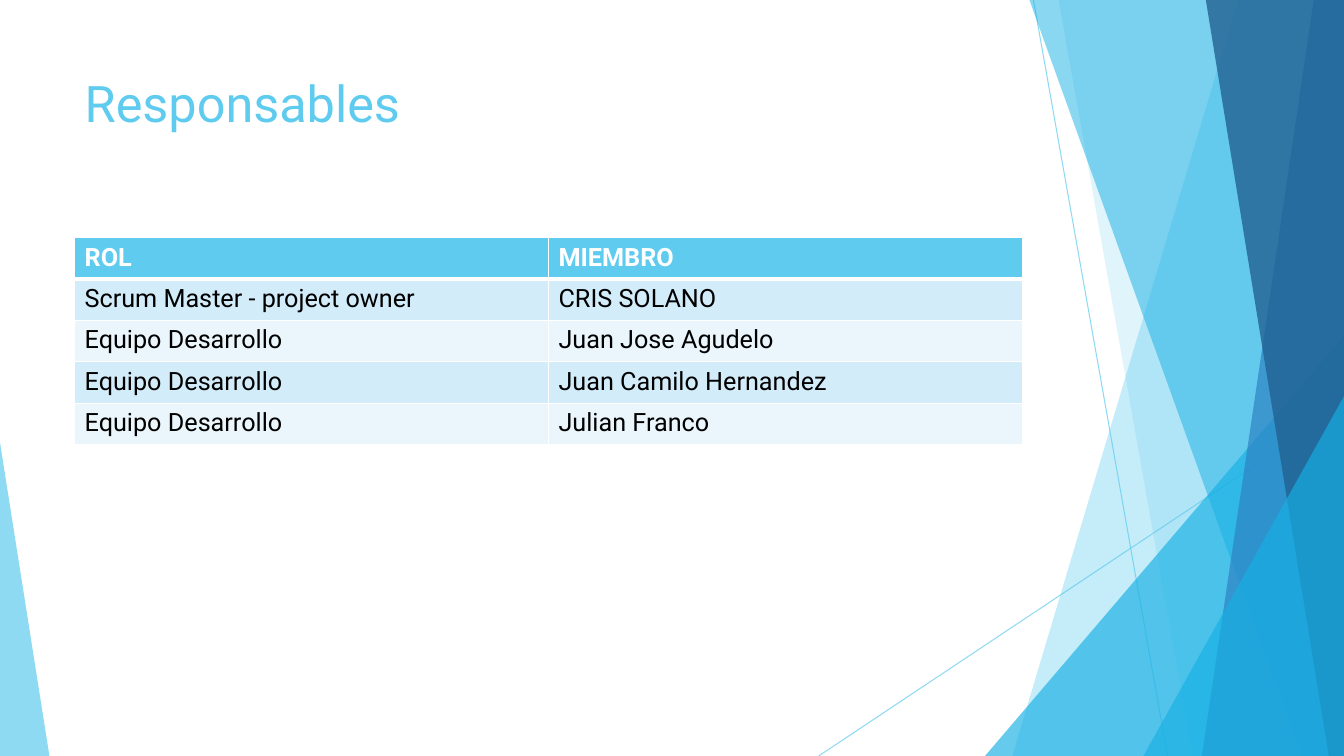
from dataclasses import dataclass

from pptx import Presentation
from pptx.dml.color import RGBColor
from pptx.enum.shapes import MSO_CONNECTOR, MSO_SHAPE
from pptx.enum.text import MSO_ANCHOR, PP_ALIGN
from pptx.oxml.ns import qn
from pptx.oxml.xmlchemy import OxmlElement
from pptx.util import Inches, Pt

STRAIGHT = MSO_CONNECTOR.STRAIGHT
TRIANGLE = MSO_SHAPE.ISOSCELES_TRIANGLE
TOP = MSO_ANCHOR.TOP
LEFT = PP_ALIGN.LEFT

WIDTH, HEIGHT = 13.33, 7.5
TITLE_ONLY_LAYOUT = 5
FONT = "Roboto"
SKY, CYAN, BLUE, NAVY = "5FCBEF", "17B0E4", "2E83C3", "226292"
WHITE, BLACK = "FFFFFF", "000000"
BANDING = ("D2ECF9", "EAF6FC")
CONTENT_LEFT, CONTENT_WIDTH = 0.74, 9.4
TABLE_TOP, ROW_HEIGHT = 2.36, 0.41
ROWS = [
    ("ROL", "MIEMBRO"),
    ("Scrum Master - project owner", "CRIS SOLANO"),
    ("Equipo Desarrollo", "Juan Jose Agudelo"),
    ("Equipo Desarrollo", "Juan Camilo Hernandez"),
    ("Equipo Desarrollo", "Julian Franco"),
]


@dataclass
class Ray:
    start: tuple[float, float]
    end: tuple[float, float]


@dataclass
class Band:
    top_left: float
    bottom_left: float
    color: str
    opacity: int


@dataclass
class Corner:
    left: float
    top: float
    width: float
    apex: float
    color: str
    opacity: int


RAYS = [Ray((10.25, 0), (11.58, HEIGHT)), Ray((WIDTH, 4.03), (8.12, HEIGHT))]
FACETS = [
    Band(12.28, 10.04, SKY, 36),
    Band(10.5, 11.83, SKY, 20),
    Corner(9.77, 3.33, 3.56, 1, CYAN, 66),
    Band(10.21, 12.91, CYAN, 50),
    Band(13.03, 11.92, BLUE, 70),
    Band(11.96, 13.18, NAVY, 80),
    Corner(11.34, 3.93, 1.99, 1, CYAN, 66),
    Corner(0, 4.39, 0.49, 0, SKY, 70),
]


def rgb(color: str) -> RGBColor:
    return RGBColor.from_string(color)


def style_font(font, size: float, color: str, bold: bool = False) -> None:
    font.name = FONT
    font.size = Pt(size)
    font.bold = bold
    font.color.rgb = rgb(color)


def set_opacity(shape, percent: int) -> None:
    alpha = OxmlElement("a:alpha")
    alpha.set("val", str(percent * 1000))
    shape._element.spPr.find(".//" + qn("a:srgbClr")).append(alpha)


def draw_ray(slide, ray: Ray) -> None:
    points = [Inches(value) for value in ray.start + ray.end]
    connector = slide.shapes.add_connector(STRAIGHT, *points)
    connector.line.color.rgb = rgb(SKY)
    connector.line.width = Pt(0.75)
    set_opacity(connector, 70)
    connector._element.spPr.append(OxmlElement("a:effectLst"))


def band_shape(slide, band: Band):
    builder = slide.shapes.build_freeform(Inches(band.top_left), 0)
    corners = [(WIDTH, 0), (WIDTH, HEIGHT), (band.bottom_left, HEIGHT)]
    builder.add_line_segments([(Inches(x), Inches(y)) for x, y in corners], close=True)
    return builder.convert_to_shape()


def corner_shape(slide, corner: Corner):
    shape = slide.shapes.add_shape(
        TRIANGLE, Inches(corner.left), Inches(corner.top),
        Inches(corner.width), Inches(HEIGHT - corner.top),
    )
    shape.adjustments[0] = corner.apex
    return shape


def draw_facet(slide, facet: Band | Corner) -> None:
    build = band_shape if isinstance(facet, Band) else corner_shape
    shape = build(slide, facet)
    shape.shadow.inherit = False
    shape.fill.solid()
    shape.fill.fore_color.rgb = rgb(facet.color)
    set_opacity(shape, facet.opacity)
    shape.line.fill.background()


def write_title(slide, text: str) -> None:
    title = slide.shapes.title
    title.left, title.top = Inches(CONTENT_LEFT), Inches(0.67)
    title.width, title.height = Inches(CONTENT_WIDTH), Inches(1.44)
    title.text_frame.text = text
    title.text_frame.vertical_anchor = TOP
    paragraph = title.text_frame.paragraphs[0]
    paragraph.alignment = LEFT
    style_font(paragraph.font, 36, SKY)


def set_border(cell, side: str, width: float) -> None:
    border = OxmlElement(f"a:ln{side}")
    border.set("w", str(Pt(width)))
    fill = OxmlElement("a:solidFill")
    color = OxmlElement("a:srgbClr")
    color.set("val", WHITE)
    fill.append(color)
    border.append(fill)
    cell._tc.get_or_add_tcPr().append(border)


def draw_table(slide) -> None:
    table = slide.shapes.add_table(
        len(ROWS), len(ROWS[0]), Inches(CONTENT_LEFT), Inches(TABLE_TOP),
        Inches(CONTENT_WIDTH), Inches(ROW_HEIGHT * len(ROWS)),
    ).table
    table.horz_banding = False
    for row_index, texts in enumerate(ROWS):
        header = row_index == 0
        for column_index, text in enumerate(texts):
            cell = table.cell(row_index, column_index)
            cell.text = text
            style_font(cell.text_frame.paragraphs[0].font, 18,
                       WHITE if header else BLACK, header)
            for side in "LRTB":
                below_header = (row_index, side) in ((0, "B"), (1, "T"))
                set_border(cell, side, 3 if below_header else 1)
            cell.fill.solid()
            cell.fill.fore_color.rgb = rgb(SKY if header else BANDING[(row_index - 1) % 2])


def main() -> None:
    presentation = Presentation()
    presentation.slide_width = Inches(WIDTH)
    presentation.slide_height = Inches(HEIGHT)
    slide = presentation.slides.add_slide(presentation.slide_layouts[TITLE_ONLY_LAYOUT])
    for ray in RAYS:
        draw_ray(slide, ray)
    for facet in FACETS:
        draw_facet(slide, facet)
    write_title(slide, "Responsables")
    draw_table(slide)
    presentation.save("out.pptx")


main()
